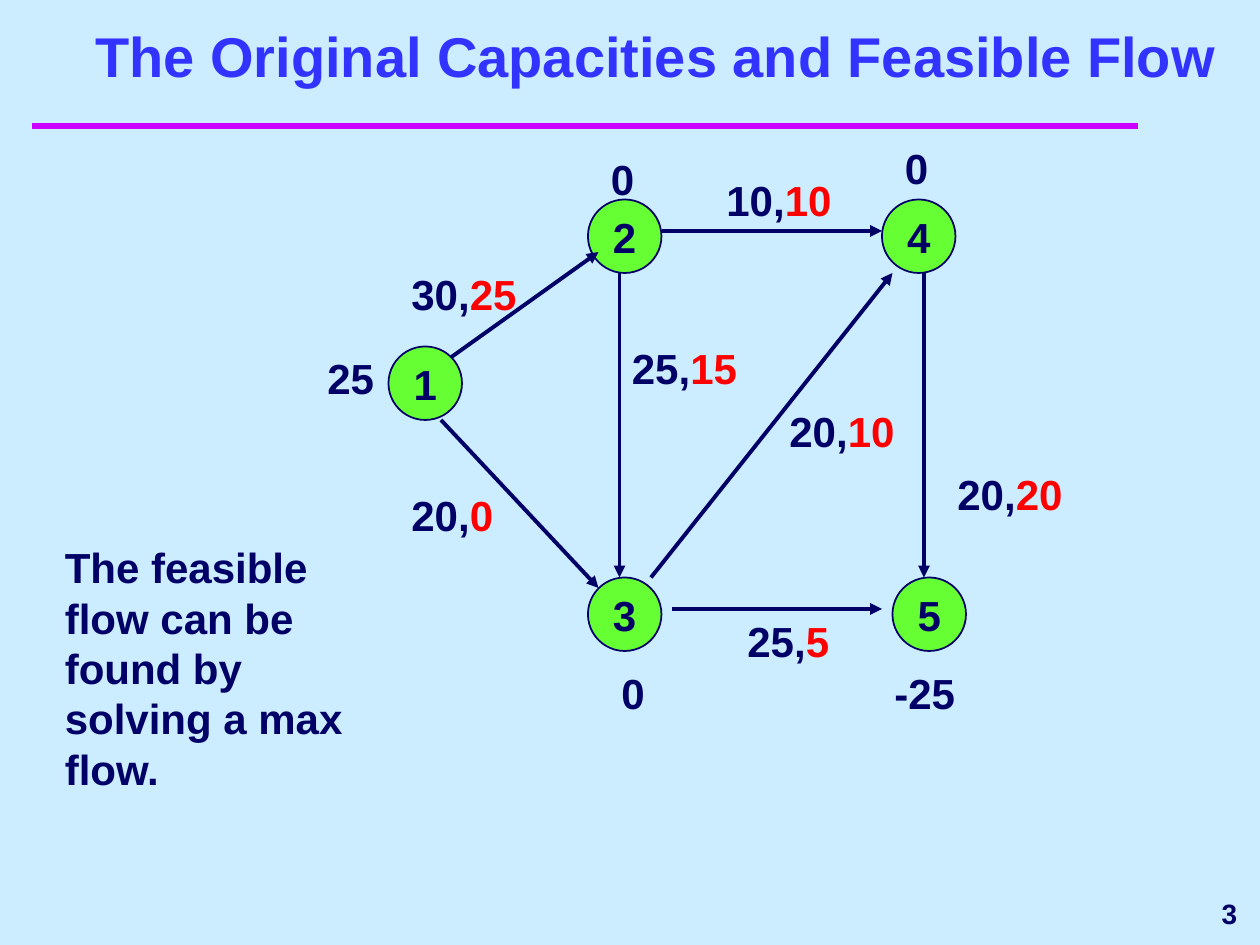
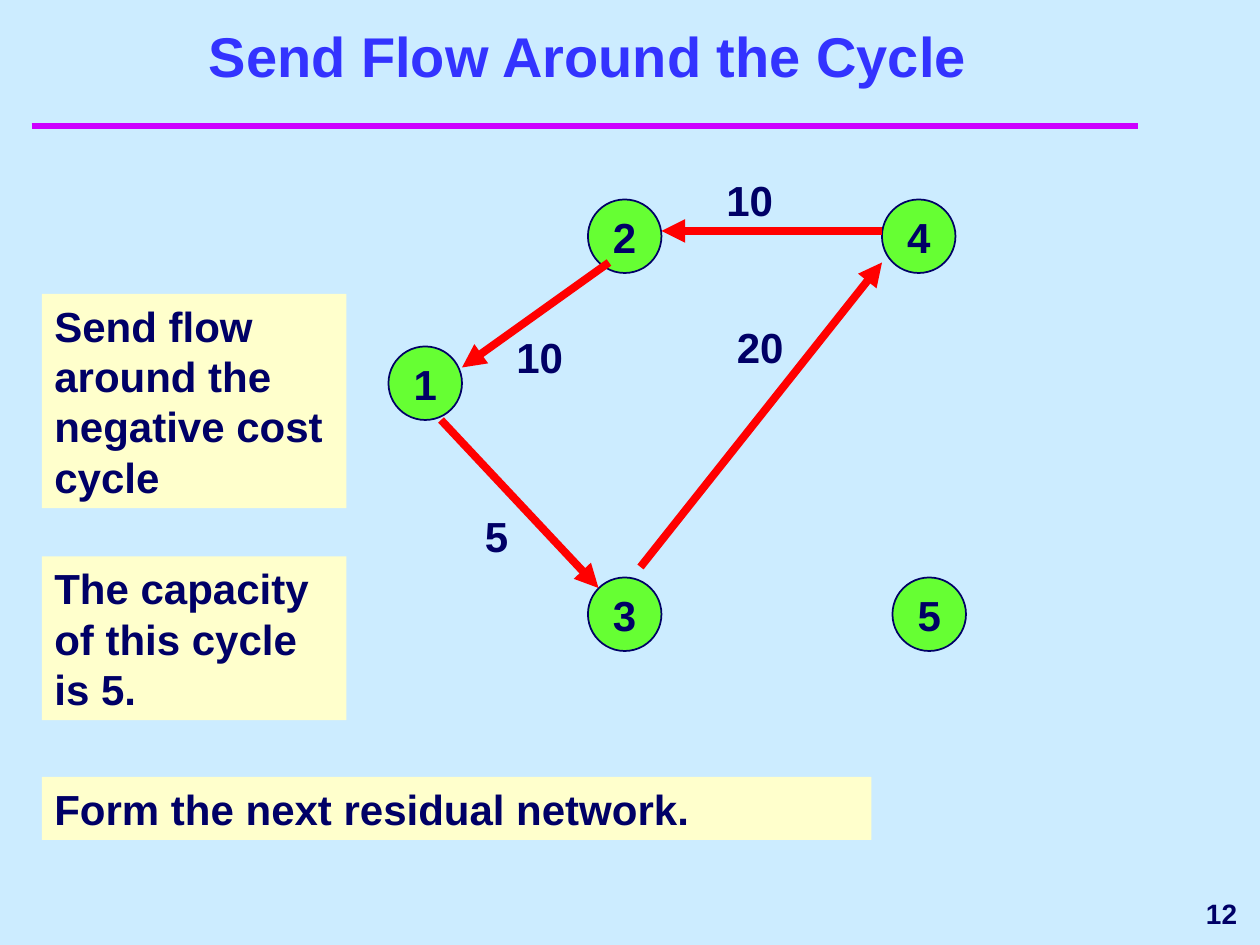
from pptx import Presentation
from pptx.dml.color import RGBColor
from pptx.enum.shapes import MSO_CONNECTOR, MSO_SHAPE
from pptx.enum.text import MSO_ANCHOR as Anchor, PP_ALIGN as Align
from pptx.oxml.ns import qn
from pptx.util import Emu, Pt
from lxml.etree import SubElement

EMU_PER_PX = 7620  # 120 px to the inch
FONT = "Arial"
COLOURS = {
    "background": "CCECFF",
    "title": "3333FF",
    "rule": "CC00FF",
    "ink": "000066",
    "node": "66FF33",
    "flow": "FF0000",
    "note": "FFFFCC",
}
NODE_SIZE = 70
NODES = {"1": (370, 330), "2": (560, 190), "4": (840, 190),
         "3": (560, 550), "5": (850, 550)}

CAPACITY_ARCS = [
    ((630, 220), (840, 220)),
    ((430, 340), (570, 240)),
    ((420, 400), (570, 560)),
    ((880, 260), (880, 550)),
    ((590, 260), (590, 550)),
    ((620, 550), (850, 260)),
    ((640, 580), (840, 580)),
]
CAPACITY_LABELS = [  # left, top, capacity, flow
    (680, 160, "10", "10"),
    (900, 440, "20", "20"),
    (740, 380, "20", "10"),
    (700, 580, "25", "5"),
    (590, 320, "25", "15"),
    (380, 460, "20", "0"),
    (380, 250, "30", "25"),
]
SUPPLIES = [
    (300, 330, "25"),
    (570, 140, "0"),
    (850, 130, "0"),
    (580, 630, "0"),
    (840, 630, "-25"),
]
CYCLE_ARCS = [
    ((840, 220), (630, 220)),
    ((420, 400), (570, 560)),
    ((610, 540), (840, 250)),
    ((580, 250), (440, 350)),
]
CYCLE_LABELS = [
    (680, 160, "10"),
    (450, 480, "5"),
    (480, 310, "10"),
    (690, 300, "20"),
]
CYCLE_NOTES = [
    ((40, 280, 290, 204), "Send flow around the negative cost cycle"),
    ((40, 530, 290, 156), "The capacity of this cycle is 5."),
    ((40, 740, 790, 60), "Form the next residual network."),
]


def px(*lengths):
    return [Emu(length * EMU_PER_PX) for length in lengths]


def colour(name):
    return RGBColor.from_string(COLOURS[name])


def write(shape, *parts, size=24, align=Align.LEFT, anchor=Anchor.TOP, wrap=True):
    """Fill a shape with one paragraph made of (text, colour name) parts."""
    frame = shape.text_frame
    frame.word_wrap = wrap
    frame.vertical_anchor = anchor
    paragraph = frame.paragraphs[0]
    paragraph.alignment = align
    paragraph.line_spacing = Pt(size * 1.2)
    for text, colour_name in parts:
        run = paragraph.add_run()
        run.text = text
        run.font.name = FONT
        run.font.size = Pt(size)
        run.font.bold = True
        run.font.color.rgb = colour(colour_name)


def add_text(slide, box, *parts, **style):
    write(slide.shapes.add_textbox(*px(*box)), *parts, **style)


def add_filled(slide, kind, box, fill):
    shape = slide.shapes.add_shape(kind, *px(*box))
    shape.shadow.inherit = False
    shape.fill.solid()
    shape.fill.fore_color.rgb = colour(fill)
    return shape


def add_node(slide, name, left, top):
    node = add_filled(slide, MSO_SHAPE.OVAL, (left, top, NODE_SIZE, NODE_SIZE), "node")
    node.line.color.rgb = colour("ink")
    node.line.width = Pt(1)
    write(node, (name, "ink"), align=Align.CENTER, anchor=Anchor.MIDDLE, wrap=False)


def add_note(slide, box, text):
    note = add_filled(slide, MSO_SHAPE.RECTANGLE, box, "note")
    note.line.fill.background()
    write(note, (text, "ink"))


def add_line(slide, start, end, colour_name, width, arrow=False):
    line = slide.shapes.add_connector(MSO_CONNECTOR.STRAIGHT, *px(*start, *end))
    line.line.color.rgb = colour(colour_name)
    line.line.width = Pt(width)
    properties = line._element.spPr
    if arrow:
        SubElement(properties.find(qn("a:ln")), qn("a:tailEnd"), type="triangle")
    SubElement(properties, qn("a:effectLst"))


def add_network_slide(presentation, title, title_width, number):
    """Add a slide with the shared rule, title, number and five nodes."""
    slide = presentation.slides.add_slide(presentation.slide_layouts[6])
    slide.background.fill.solid()
    slide.background.fill.fore_color.rgb = colour("background")
    add_line(slide, (30, 120), (1084, 120), "rule", 4)
    add_text(slide, (960, 840, 230, 60), (number, "ink"), size=16,
             align=Align.RIGHT, anchor=Anchor.MIDDLE, wrap=False)
    add_text(slide, (50, 40, title_width, 50), (title, "title"), size=32,
             align=Align.CENTER, anchor=Anchor.BOTTOM)
    for name, (left, top) in NODES.items():
        add_node(slide, name, left, top)
    return slide


def add_capacities_slide(presentation):
    slide = add_network_slide(
        presentation, "The Original Capacities and Feasible Flow", 1150, "3")
    for start, end in CAPACITY_ARCS:
        add_line(slide, start, end, "ink", 2.25, arrow=True)
    for left, top, capacity, flow in CAPACITY_LABELS:
        add_text(slide, (left, top, 140, 60), (capacity + ",", "ink"), (flow, "flow"))
    for left, top, supply in SUPPLIES:
        add_text(slide, (left, top, 90, 60), (supply, "ink"))
    add_text(slide, (50, 510, 310, 252),
             ("The feasible flow can be found by solving a max flow.", "ink"))


def add_cycle_slide(presentation):
    slide = add_network_slide(presentation, "Send Flow Around the Cycle", 1020, "12")
    for start, end in CYCLE_ARCS:
        add_line(slide, start, end, "flow", 4.5, arrow=True)
    for box, text in CYCLE_NOTES:
        add_note(slide, box, text)
    for left, top, capacity in CYCLE_LABELS:
        add_text(slide, (left, top, 140, 60), (capacity, "ink"))


def main():
    presentation = Presentation()
    presentation.slide_width, presentation.slide_height = px(1200, 900)
    add_capacities_slide(presentation)
    add_cycle_slide(presentation)
    presentation.save("out.pptx")


if __name__ == "__main__":
    main()
